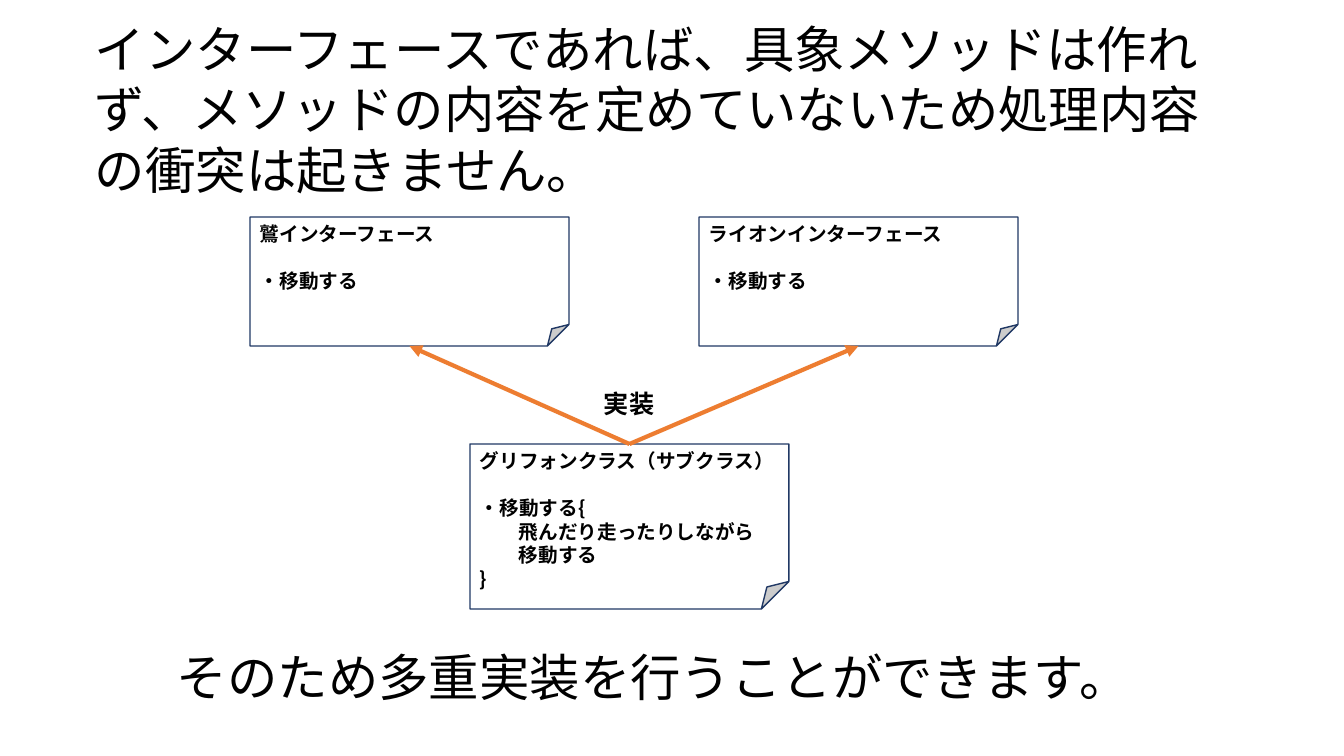
from pptx import Presentation, util as u
from pptx.dml.color import RGBColor
from pptx.enum import shapes as sh, text as tx
from pptx.oxml import ns, xmlchemy as xc

PX = 914400 / 100.8
FONT = "Noto Sans CJK JP"
BLACK, WHITE, NAVY, ORANGE = "000000", "FFFFFF", "203864", "ED7D31"
TOP, BOTTOM = 0, 2  # connection sites of a note


def px(n):
    return u.Emu(round(n * PX))


def color(code):
    return RGBColor.from_string(code)


def write(par, words, size=14, bold=False, gap=0, indent=0):
    """Put formatted text into a paragraph."""
    if indent:
        par._p.get_or_add_pPr().set("marL", str(px(indent)))
    if gap:
        par.space_before = u.Pt(gap)
    par.alignment = tx.PP_ALIGN.LEFT
    run = par.add_run()
    run.text = words
    font = run.font
    font.name, font.size, font.bold = FONT, u.Pt(size), bold
    font.color.rgb = color(BLACK)
    east = xc.OxmlElement("a:ea")
    east.set("typeface", FONT)
    run._r.rPr.find(ns.qn("a:latin")).addnext(east)


def label(slide, box, words, wrap=True, **style):
    frame = slide.shapes.add_textbox(*map(px, box)).text_frame
    frame.word_wrap = wrap
    frame.auto_size = tx.MSO_AUTO_SIZE.SHAPE_TO_FIT_TEXT
    write(frame.paragraphs[0], words, **style)


def note(slide, box, name, lines):
    """Draw a folded note: a name, a gap, then (text, indent) lines."""
    shape = slide.shapes.add_shape(sh.MSO_SHAPE.FOLDED_CORNER, *map(px, box))
    shape.shadow.inherit = False
    shape.fill.solid()
    shape.fill.fore_color.rgb = color(WHITE)
    shape.line.color.rgb = color(NAVY)
    shape.line.width = u.Pt(1)
    frame = shape.text_frame
    frame.word_wrap = True
    frame.vertical_anchor = tx.MSO_ANCHOR.TOP
    write(frame.paragraphs[0], name, bold=True)
    for i, (words, indent) in enumerate(lines):
        write(frame.add_paragraph(), words, bold=True,
              gap=0 if i else 17, indent=indent)
    return shape


def arrow(slide, start, end):
    line = slide.shapes.add_connector(sh.MSO_CONNECTOR.STRAIGHT, 0, 0, 0, 0)
    line.begin_connect(start, TOP)
    line.end_connect(end, BOTTOM)
    line.line.color.rgb = color(ORANGE)
    line.line.width = u.Pt(3)
    head = xc.OxmlElement("a:tailEnd")
    head.set("type", "triangle")
    line.line._get_or_add_ln().append(head)
    line._element.spPr.append(xc.OxmlElement("a:effectLst"))


def main():
    deck = Presentation()
    deck.slide_width, deck.slide_height = px(1344), px(756)
    slide = deck.slides.add_slide(deck.slide_layouts[6])

    # Statement
    label(slide, (85, 13, 1136, 194),
          "インターフェースであれば、具象メソッドは作れず、"
          "メソッドの内容を定めていないため処理内容の衝突は起きません。", size=36)

    # Interfaces
    parents = [note(slide, (x, 217, 319, 129), name, [("・移動する", 0)])
               for x, name in ((250, "鷲インターフェース"),
                               (699, "ライオンインターフェース"))]

    # Class that implements both
    child = note(slide, (470, 444, 319, 165), "グリフォンクラス（サブクラス）",
                 [("・移動する{", 0), ("飛んだり走ったりしながら", 39),
                  ("移動する", 39), ("}", 0)])
    for parent in parents:
        arrow(slide, child, parent)
    label(slide, (594, 383, 71, 40), "実装", wrap=False, size=18, bold=True)

    # Conclusion
    label(slide, (167, 641, 1136, 71),
          "そのため多重実装を行うことができます。", size=36)

    deck.save("out.pptx")


if __name__ == "__main__":
    main()
